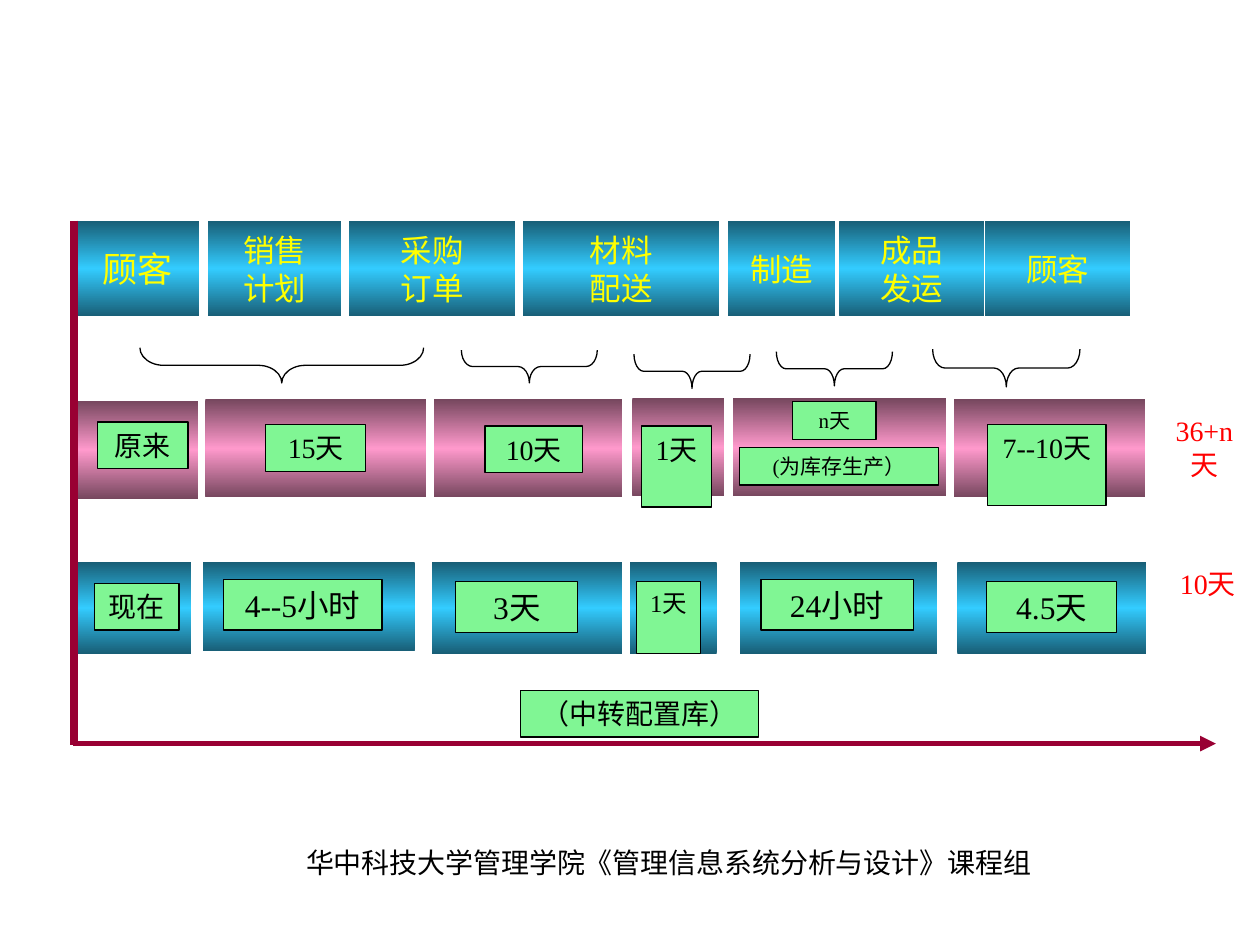
"""Draw a timeline that compares process lead times before and now."""
import copy

import pptx
import pptx.dml.color
import pptx.enum.shapes
import pptx.enum.text
import pptx.oxml
import pptx.oxml.ns
import pptx.util

Cm, Pt = pptx.util.Cm, pptx.util.Pt
KIND = pptx.enum.shapes.MSO_SHAPE
ALIGN = pptx.enum.text.PP_ALIGN
ANCHOR = pptx.enum.text.MSO_ANCHOR
FONT = "Times New Roman"
BLACK, RED, YELLOW, GREEN, WINE = "000000", "FF0000", "FFFF00", "80F694", "990033"
BLUE = ("185E76", "33CCFF", "185E76")
PINK = ("76475E", "FF99CC", "76475E")

HEADS = [
    (1.52, 2.49, "顾客", 20), (4.19, 2.69, "销售\n计划", 18),
    (7.04, 3.35, "采购\n订单", 18), (10.54, 3.96, "材料\n配送", 18),
    (14.68, 2.16, "制造", 18), (16.92, 2.92, "成品\n发运", 18),
    (19.86, 2.92, "顾客", 18),
]
OLD = [
    (1.5, 8.08, 2.49, 1.98), (4.14, 8.05, 4.45, 1.98), (8.74, 8.05, 3.81, 1.98),
    (12.75, 8.03, 1.85, 1.98), (14.78, 8.03, 4.29, 1.98), (19.23, 8.05, 3.86, 1.98),
]
NEW = [
    (1.5, 11.33, 2.36, 1.85), (4.09, 11.33, 4.27, 1.8), (8.71, 11.33, 3.84, 1.85),
    (12.7, 11.33, 1.75, 1.85), (14.91, 11.33, 3.99, 1.85), (19.3, 11.33, 3.81, 1.85),
]
BRACES = [
    (2.82, 7.01, 5.72, 0.71), (9.3, 7.06, 2.74, 0.66), (12.78, 7.14, 2.34, 0.69),
    (15.65, 7.09, 2.34, 0.69), (18.8, 7.04, 2.97, 0.76),
]
TAGS = [
    ((1.96, 8.51, 1.83, 0.94), "原来", 16),
    ((5.36, 8.56, 2.01, 0.94), "15天", 16),
    ((9.78, 8.59, 1.96, 0.94), "10天", 16),
    ((12.93, 8.59, 1.42, 1.63), "1天", 16),
    ((15.98, 8.1, 1.68, 0.76), "n天", 12),
    ((14.91, 9.02, 4.01, 0.76), "(为库存生产）", 12),
    ((19.91, 8.56, 2.39, 1.63), "7--10天", 16),
    ((1.91, 11.76, 1.7, 0.94), "现在", 16),
    ((4.5, 11.68, 3.2, 1.02), "4--5小时", 18),
    ((9.19, 11.73, 2.46, 1.02), "3天", 18),
    ((12.83, 11.73, 1.3, 1.45), "1天", 14),
    ((15.34, 11.68, 3.07, 1.02), "24小时", 18),
    ((19.89, 11.73, 2.62, 1.02), "4.5天", 18),
    ((10.49, 13.92, 4.8, 0.94), "（中转配置库）", 16),
]
SUMS = [((23.39, 8.18, 1.78, 1.68), "36+n天"), ((23.5, 10.92, 1.7, 1.68), "10天")]
FOOT = ((5.92, 16.92, 15.14, 0.94), "华中科技大学管理学院《管理信息系统分析与设计》课程组")


def rgb(code):
    return pptx.dml.color.RGBColor.from_string(code)


def write(shape, text, size, color, align=ALIGN.CENTER, anchor=ANCHOR.TOP, wrap=True):
    frame = shape.text_frame
    frame.word_wrap = wrap
    frame.vertical_anchor = anchor
    frame.text = text
    for para in frame.paragraphs:
        para.alignment = align
        para.font.name = FONT
        para.font.size = Pt(size)
        para.font.color.rgb = rgb(color)


def draw(slide, kind, box):
    shape = slide.shapes.add_shape(kind, *map(Cm, box))
    shape.shadow.inherit = False
    return shape


def edge(shape):
    shape.line.color.rgb = rgb(BLACK)
    shape.line.width = Pt(0.75)


def bar(slide, box, shades):
    shape = draw(slide, KIND.RECTANGLE, box)
    shape.line.fill.background()
    fill = shape.fill
    fill.gradient()
    fill.gradient_angle = 90
    last = shape.element.spPr.findall(".//" + pptx.oxml.ns.qn("a:gs"))[-1]
    last.addnext(copy.deepcopy(last))
    for stop, shade, place in zip(fill.gradient_stops, shades, (0, 0.5, 1)):
        stop.color.rgb = rgb(shade)
        stop.position = place
    return shape


def brace(slide, left, top, span, depth):
    shift = (span - depth) / 2
    shape = draw(slide, KIND.RIGHT_BRACE, (left + shift, top - shift, depth, span))
    shape.rotation = 90
    shape.adjustments[0] = span / depth / 12
    shape.fill.background()
    edge(shape)


def axis(slide, ends, width, arrow=False):
    line = slide.shapes.add_connector(
        pptx.enum.shapes.MSO_CONNECTOR.STRAIGHT, *map(Cm, ends))
    line.line.color.rgb = rgb(WINE)
    line.line.width = Pt(width)
    space = pptx.oxml.ns.nsdecls("a")
    if arrow:
        tip = pptx.oxml.parse_xml(f'<a:tailEnd {space} type="triangle"/>')
        line.line._get_or_add_ln().append(tip)
    line.element.spPr.append(pptx.oxml.parse_xml(f"<a:effectLst {space}/>"))


def label(slide, box, *style, **extra):
    write(slide.shapes.add_textbox(*map(Cm, box)), *style, **extra)


def main():
    deck = pptx.Presentation()
    deck.slide_width, deck.slide_height = Cm(25.4), Cm(19.05)
    slide = deck.slides.add_slide(deck.slide_layouts[6])
    label(slide, *FOOT, 16, BLACK, align=ALIGN.LEFT, wrap=False)
    for row, shades in ((OLD, PINK), (NEW, BLUE)):
        for box in row:
            bar(slide, box, shades)
    for item in BRACES:
        brace(slide, *item)
    for left, width, text, size in HEADS:
        shape = bar(slide, (left, 4.45, width, 1.93), BLUE)
        write(shape, text, size, YELLOW, anchor=ANCHOR.MIDDLE, wrap=False)
    axis(slide, (1.5, 4.45, 1.5, 15.01), 4.5)
    for box, text, size in TAGS:
        shape = draw(slide, KIND.RECTANGLE, box)
        shape.fill.solid()
        shape.fill.fore_color.rgb = rgb(GREEN)
        edge(shape)
        write(shape, text, size, BLACK)
    for box, text in SUMS:
        label(slide, box, text, 16, RED, anchor=ANCHOR.MIDDLE)
    axis(slide, (1.47, 14.99, 24.51, 14.99), 3, arrow=True)
    deck.save("out.pptx")


if __name__ == "__main__":
    main()
